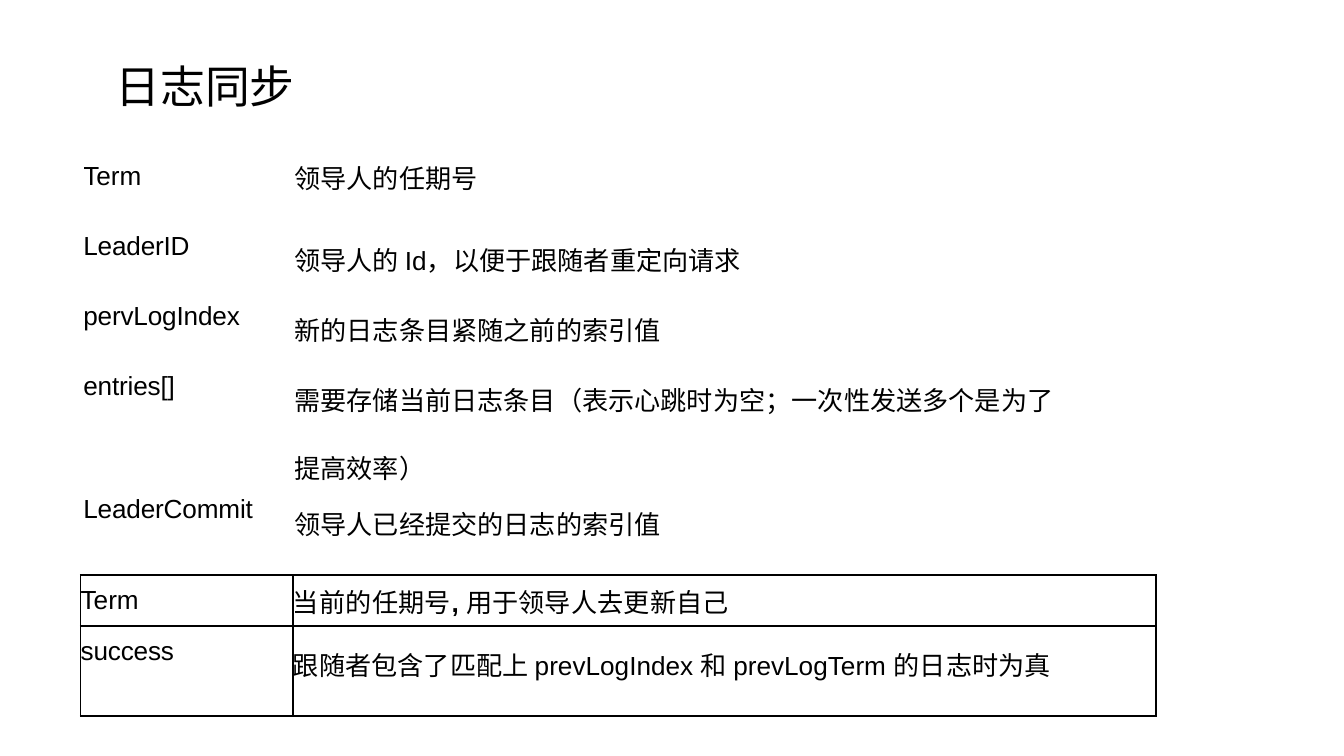
from typing import NamedTuple

from lxml import etree
from pptx import Presentation
from pptx.dml.color import RGBColor
from pptx.enum import text as t
from pptx.oxml import ns
from pptx.util import Inches, Pt

HUES = {"ink": "000000", "paper": "FFFFFF"}
LATIN, HAN, SANS, HEAD = "Arial", "Noto Sans CJK JP", "Open Sans", "Montserrat"


class Run(NamedTuple):
    text: str
    font: str = SANS
    track: float = 0
    bold: bool = False


class Para(NamedTuple):
    runs: list[Run]
    line: float | None = None
    before: float = 0


class Cell(NamedTuple):
    paras: list[Para]
    top: float = 0


class Grid(NamedTuple):
    left: float
    top: float
    cols: list[float]
    rows: list[float]
    rule: str
    cells: list[list[Cell]]


def key(name: str, line: float = 21.2, track: float = -0.1) -> Cell:
    return Cell([Para([Run(name, LATIN, track)], line)])


def note(*lines: list[Run]) -> Cell:
    """Description set lower than its key; later lines get a wider gap."""
    return Cell([Para(runs, None, 15.9 if i else 10.1)
                 for i, runs in enumerate(lines)], 0.14)


FIELDS = Grid(0.62, 1.13, [1.57, 6.4], [0.52, 0.52, 0.52, 0.92, 0.52], "paper", [
    [key("Term", 21.1, 0), Cell([Para([Run("领导人的任期号", HAN)], 23.5)])],
    [key("LeaderID", 21.1),
     note([Run("领导人的 "), Run("Id", LATIN), Run("，以便于跟随者重定向请求")])],
    [key("pervLogIndex"), note([Run("新的日志条目紧随之前的索引值")])],
    [key("entries[]"),
     note([Run("需要存储当前日志条目（表示心跳时为空；一次性发送多个是为了")],
          [Run("提高效率）")])],
    [key("LeaderCommit"), note([Run("领导人已经提交的日志的索引值")])],
])

REPLY = Grid(0.6, 4.28, [1.58, 6.42], [0.38, 0.67], "ink", [
    [key("Term", track=0),
     Cell([Para([Run("当前的任期号", HAN, 0.1), Run(", ", LATIN, bold=True),
                 Run("用于领导人去更新自己", HAN, 0.05)], 23.8)])],
    [key("success"),
     note([Run("跟随者包含了匹配上 "), Run("prevLogIndex ", LATIN),
           Run("和 ", track=0.1), Run("prevLogTerm ", LATIN),
           Run("的日志时为真", track=0.05)])],
])


def write(para, runs: list[Run], size: float) -> None:
    for item in runs:
        run = para.add_run()
        run.text = item.text
        font = run.font
        font.name, font.size, font.bold = item.font, Pt(size), item.bold
        font.color.rgb = RGBColor.from_string(HUES["ink"])
        props = font._element
        east = HAN if item.font == SANS else item.font
        etree.SubElement(props, ns.qn("a:ea")).set("typeface", east)
        if item.track:
            props.set("spc", str(round(item.track * 100)))


def edge(cell, hue: str) -> None:
    """Draw a thin line on all four sides, ahead of the cell's fill."""
    props = cell._tc.get_or_add_tcPr()
    for i, side in enumerate(("lnL", "lnR", "lnT", "lnB")):
        line = etree.Element(ns.qn(f"a:{side}"), w=str(Pt(0.96)))
        fill = etree.SubElement(line, ns.qn("a:solidFill"))
        etree.SubElement(fill, ns.qn("a:srgbClr"), val=HUES[hue])
        props.insert(i, line)


def fill_cell(cell, data: Cell, rule: str) -> None:
    cell.margin_left = cell.margin_right = cell.margin_bottom = Inches(0)
    cell.margin_top = Inches(data.top)
    cell.fill.background()
    edge(cell, rule)
    frame = cell.text_frame
    for i, item in enumerate(data.paras):
        para = frame.add_paragraph() if i else frame.paragraphs[0]
        para.space_before = Pt(item.before)
        if item.line:
            para.line_spacing = Pt(item.line)
        write(para, item.runs, 14)


def draw_grid(slide, grid: Grid) -> None:
    table = slide.shapes.add_table(
        len(grid.rows), len(grid.cols), Inches(grid.left), Inches(grid.top),
        Inches(sum(grid.cols)), Inches(sum(grid.rows))).table
    table.first_row = table.horz_banding = False
    for col, width in zip(table.columns, grid.cols):
        col.width = Inches(width)
    for row, height, cells in zip(table.rows, grid.rows, grid.cells):
        row.height = Inches(height)
        for cell, data in zip(row.cells, cells):
            fill_cell(cell, data, grid.rule)


def draw_title(slide, words: str) -> None:
    box = slide.shapes.add_textbox(Inches(0.52), Inches(0.43), Inches(6.47), Inches(0.41))
    frame = box.text_frame
    frame.word_wrap = True
    frame.vertical_anchor = t.MSO_ANCHOR.MIDDLE
    frame.margin_left = Inches(0.34)
    frame.margin_top = Inches(0.01)
    frame.margin_right = frame.margin_bottom = Inches(0)
    write(frame.paragraphs[0], [Run(words, HEAD)], 24)


def main() -> None:
    deck = Presentation()
    deck.slide_width = Inches(10)
    deck.slide_height = deck.slide_width * 9 // 16
    slide = deck.slides.add_slide(deck.slide_layouts[6])
    draw_title(slide, "日志同步")
    for grid in (FIELDS, REPLY):
        draw_grid(slide, grid)
    deck.save("out.pptx")


if __name__ == "__main__":
    main()
